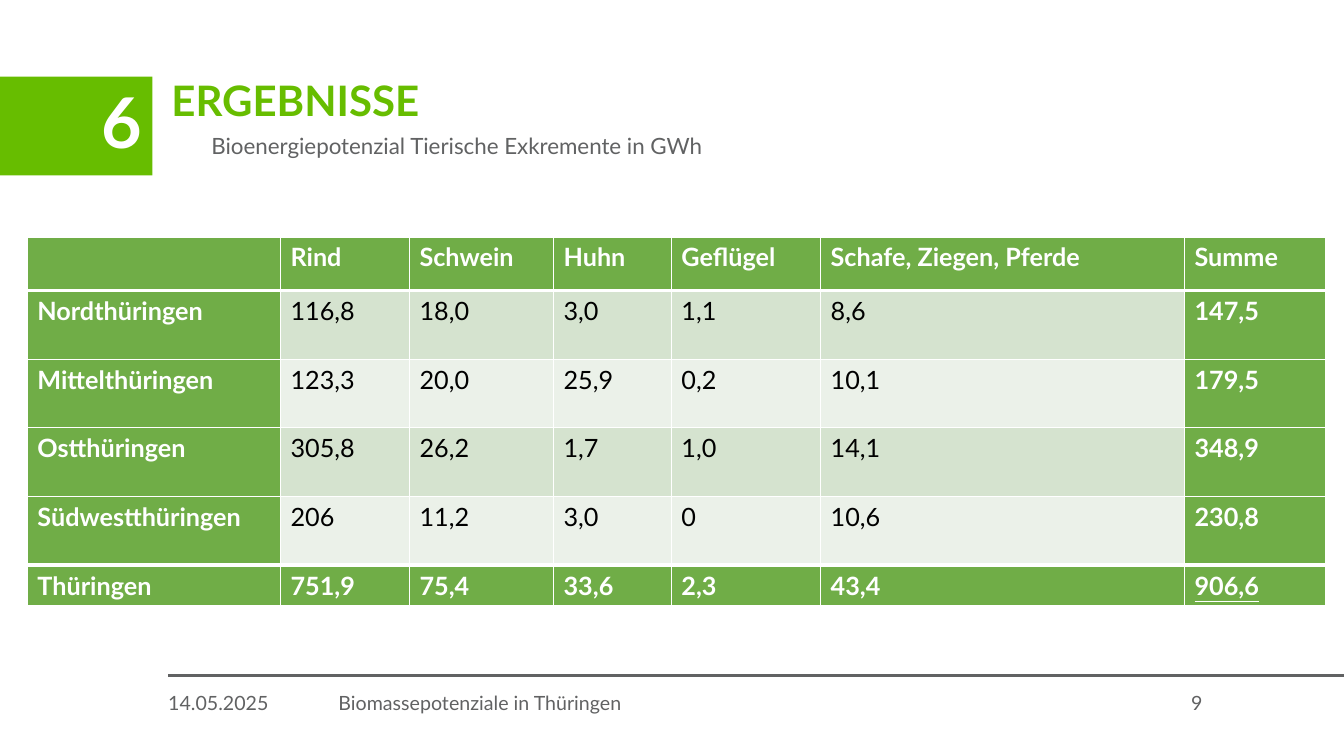
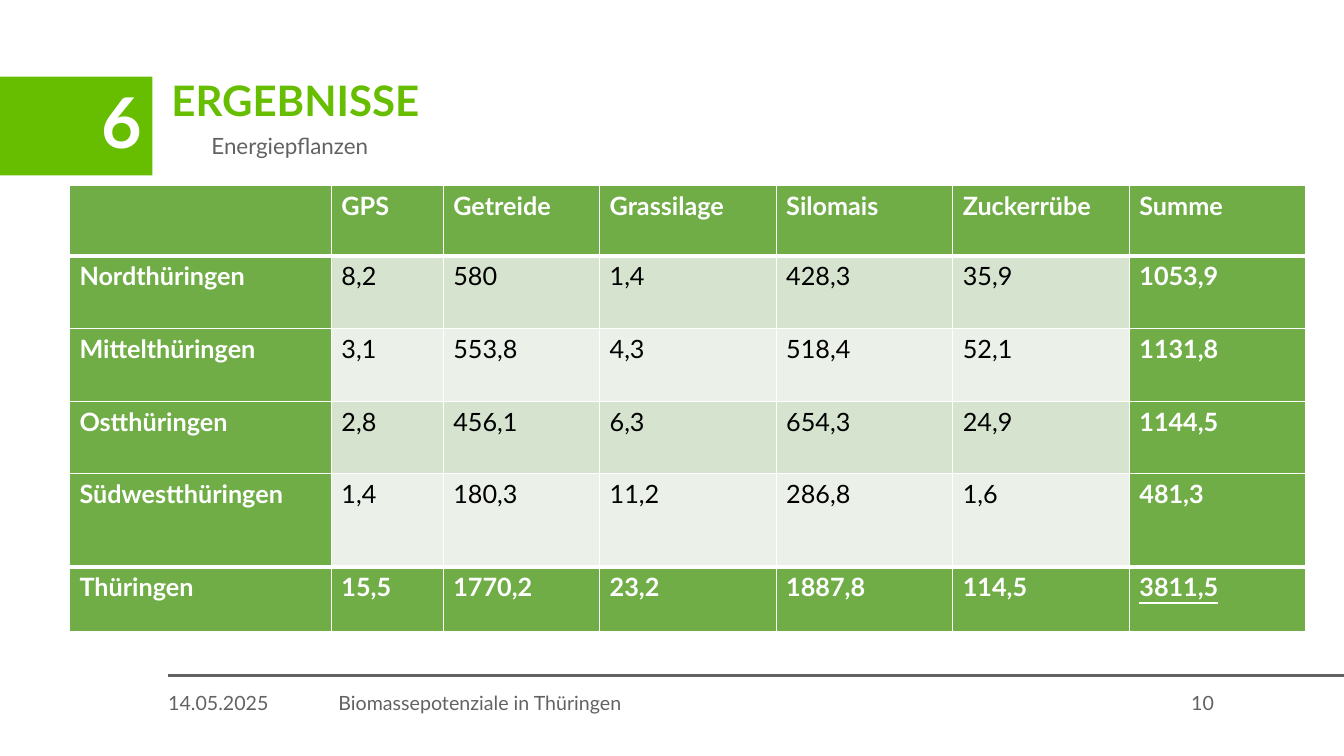
"""Build two result slides on biomass potential in Thüringen."""
from lxml import etree
from pptx import Presentation
from pptx.dml.color import RGBColor
from pptx.enum import shapes, text
from pptx.oxml import ns
from pptx.util import Cm, Pt

FONT = "Lato"
HUES = {"lime": "67BD00", "grey": "616263", "white": "FFFFFF", "black": "000000",
        "green": "70AD47", "pale": "D5E3CF", "mist": "EBF1E9"}
LEFT = text.PP_ALIGN.LEFT
TOP = text.MSO_ANCHOR.TOP
WIDE, HIGH = 33.87, 19.05
EDGE, RULE_Y = 4.24, 17.02
FOOT_Y, FOOT_H = 17.42, 1.02

CHAP, TITLE = "6", "ERGEBNISSE"
DATE, TOPIC = "14.05.2025", "Biomassepotenziale in Thüringen"
PAGES = [
    {"sub": "Bioenergiepotenzial Tierische Exkremente in GWh", "num": "9",
     "at": (0.69, 5.97),
     "cols": [6.38, 3.25, 3.63, 2.97, 3.76, 9.17, 3.56],
     "rows": [1.35] + [1.73] * 4 + [0.99],
     "data": [
         ("", "Rind", "Schwein", "Huhn", "Geflügel", "Schafe, Ziegen, Pferde", "Summe"),
         ("Nordthüringen", "116,8", "18,0", "3,0", "1,1", "8,6", "147,5"),
         ("Mittelthüringen", "123,3", "20,0", "25,9", "0,2", "10,1", "179,5"),
         ("Ostthüringen", "305,8", "26,2", "1,7", "1,0", "14,1", "348,9"),
         ("Südwestthüringen", "206", "11,2", "3,0", "0", "10,6", "230,8"),
         ("Thüringen", "751,9", "75,4", "33,6", "2,3", "43,4", "906,6")]},
    {"sub": "Energiepflanzen", "num": "10",
     "at": (1.75, 4.67),
     "cols": [6.6, 2.82, 3.94] + [4.45] * 4,
     "rows": [1.78] + [1.83] * 3 + [2.34, 1.63],
     "data": [
         ("", "GPS", "Getreide", "Grassilage", "Silomais", "Zuckerrübe", "Summe"),
         ("Nordthüringen", "8,2", "580", "1,4", "428,3", "35,9", "1053,9"),
         ("Mittelthüringen", "3,1", "553,8", "4,3", "518,4", "52,1", "1131,8"),
         ("Ostthüringen", "2,8", "456,1", "6,3", "654,3", "24,9", "1144,5"),
         ("Südwestthüringen", "1,4", "180,3", "11,2", "286,8", "1,6", "481,3"),
         ("Thüringen", "15,5", "1770,2", "23,2", "1887,8", "114,5", "3811,5")]},
]


def hue(name):
    return RGBColor.from_string(HUES[name])


def write(frame, words, size, tint, bold=False, line=False, align=LEFT, lead=None):
    para = frame.paragraphs[0]
    para.alignment = align
    if lead:
        para.line_spacing = lead
    run = para.add_run()
    run.text = words
    font = run.font
    font.name, font.size, font.bold = FONT, Pt(size), bold
    font.color.rgb = hue(tint)
    if line:
        font.underline = True


def bare(frame):
    frame.word_wrap = True
    frame.auto_size = text.MSO_AUTO_SIZE.NONE
    frame.vertical_anchor = TOP
    frame.margin_left = frame.margin_right = 0
    frame.margin_top = frame.margin_bottom = 0
    return frame


def label(slide, box, words, size, lead=None):
    shape = slide.shapes.add_textbox(*map(Cm, box))
    write(bare(shape.text_frame), words, size, "grey", lead=lead)


def head(slide, sub):
    band = slide.shapes.add_shape(shapes.MSO_SHAPE.RECTANGLE,
                                  *map(Cm, (0, 1.93, 3.84, 2.49)))
    band.shadow.inherit = False
    band.fill.solid()
    band.fill.fore_color.rgb = hue("lime")
    band.line.fill.background()
    band.text_frame.vertical_anchor = text.MSO_ANCHOR.MIDDLE
    write(band.text_frame, CHAP, 50, "white", True, align=text.PP_ALIGN.RIGHT, lead=0.9)
    title = slide.shapes.title
    title.left, title.top, title.width, title.height = map(Cm, (4.32, 2.03, 25.32, 1.35))
    write(bare(title.text_frame), TITLE, 30, "lime", True, lead=0.9)
    label(slide, (5.33, 3.4, 24.31, 1.04), sub, 16, 0.9)


def foot(slide, num):
    rule = slide.shapes.add_connector(shapes.MSO_CONNECTOR.STRAIGHT,
                                      *map(Cm, (EDGE, RULE_Y, WIDE, RULE_Y)))
    rule.line.color.rgb = hue("grey")
    rule.line.width = Pt(2)
    etree.SubElement(rule._element.spPr, ns.qn("a:effectLst"))
    for left, width, words in ((EDGE, 3.89, DATE), (8.53, 11.43, TOPIC), (30.02, 2.9, num)):
        label(slide, (left, FOOT_Y, width, FOOT_H), words, 14)


def edge(cell, above, below):
    props = cell._tc.get_or_add_tcPr()
    for side, width in (("L", 1), ("R", 1), ("T", above), ("B", below)):
        line = etree.SubElement(props, ns.qn("a:ln" + side), w=str(Pt(width)))
        fill = etree.SubElement(line, ns.qn("a:solidFill"))
        etree.SubElement(fill, ns.qn("a:srgbClr"), val=HUES["white"])


def grid(slide, page):
    data, cols, rows = page["data"], page["cols"], page["rows"]
    end, last = len(rows) - 1, len(cols) - 1
    size = (sum(cols), sum(rows))
    table = slide.shapes.add_table(len(rows), len(cols),
                                   *map(Cm, page["at"] + size)).table
    for col, width in zip(table.columns, cols):
        col.width = Cm(width)
    for r, (row, high) in enumerate(zip(data, rows)):
        table.rows[r].height = Cm(high)
        for c, words in enumerate(row):
            cell = table.cell(r, c)
            rim = r in (0, end) or c in (0, last)
            edge(cell, 3 if r in (1, end) else 1, 3 if r in (0, end - 1) else 1)
            cell.fill.solid()
            cell.fill.fore_color.rgb = hue("green" if rim else "pale" if r % 2 else "mist")
            if words:
                write(cell.text_frame, words, 18, "white" if rim else "black", rim,
                      line=(r, c) == (end, last))


def main():
    deck = Presentation()
    deck.slide_width, deck.slide_height = Cm(WIDE), Cm(HIGH)
    for page in PAGES:
        slide = deck.slides.add_slide(deck.slide_layouts[5])
        head(slide, page["sub"])
        foot(slide, page["num"])
        grid(slide, page)
    deck.save("out.pptx")


if __name__ == "__main__":
    main()
